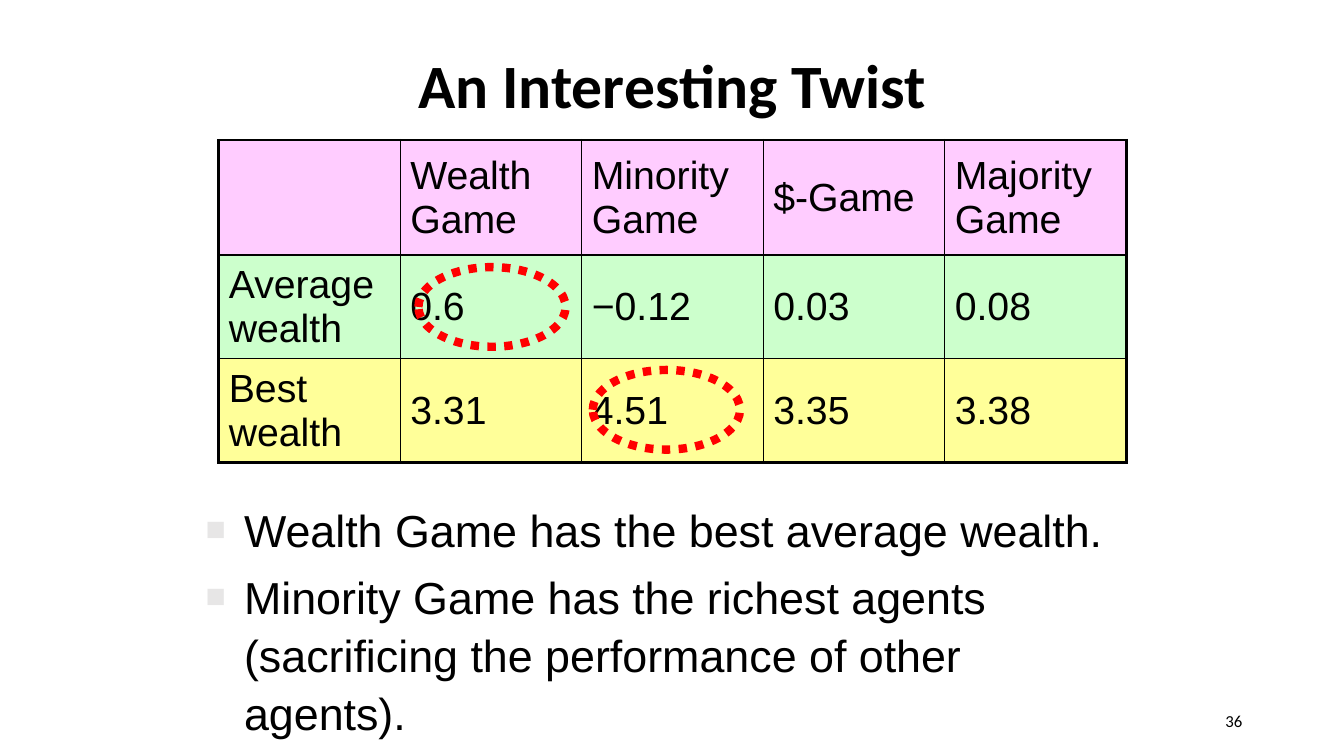
from dataclasses import dataclass

from lxml import etree
from pptx import Presentation
from pptx.dml.color import RGBColor
from pptx.enum.dml import MSO_LINE
from pptx.enum.shapes import MSO_SHAPE
from pptx.enum.text import MSO_ANCHOR, MSO_AUTO_SIZE, PP_ALIGN
from pptx.oxml.ns import qn
from pptx.util import Inches, Pt

MIDDLE, TOP = MSO_ANCHOR.MIDDLE, MSO_ANCHOR.TOP
LEFT, CENTER, RIGHT = PP_ALIGN.LEFT, PP_ALIGN.CENTER, PP_ALIGN.RIGHT
ELLIPSE = MSO_SHAPE.OVAL
DOTTED = MSO_LINE.ROUND_DOT
NO_FIT = MSO_AUTO_SIZE.NONE
BLACK = "000000"
THIN, THICK = 1, 2.25


@dataclass
class Row:
    height: float
    fill: str
    texts: list[str]


@dataclass
class Highlight:
    left: float
    top: float


ROWS = [
    Row(1.14, "FFCCFF", ["", "Wealth Game", "Minority Game", "$-Game", "Majority Game"]),
    Row(1.03, "CCFFCC", ["Average wealth", "0.6", "−0.12", "0.03", "0.08"]),
    Row(1.03, "FFFF99", ["Best wealth", "3.31", "4.51", "3.35", "3.38"]),
]
COLUMN_WIDTH = 1.8
HIGHLIGHTS = [Highlight(4.15, 2.65), Highlight(5.88, 3.67)]
FINDINGS = [
    "Wealth Game has the best average wealth.",
    "Minority Game has the richest agents "
    "(sacrificing the performance of other agents).",
]


def color(value: str) -> RGBColor:
    return RGBColor.from_string(value)


def add_xml(parent, tag: str, **attributes: str):
    return etree.SubElement(parent, qn(tag), attributes)


def place(shape, left: float, top: float, width: float, height: float) -> None:
    shape.left, shape.top = Inches(left), Inches(top)
    shape.width, shape.height = Inches(width), Inches(height)


def write(frame, *texts: str, size: float, font: str = "Arial", bold: bool = False,
          align=LEFT, anchor=MIDDLE, line_spacing: float | None = None,
          percent_before: int = 0) -> None:
    """Fill a text frame with one formatted paragraph per text."""
    frame.word_wrap = True
    frame.vertical_anchor = anchor
    for index, text in enumerate(texts):
        para = frame.add_paragraph() if index else frame.paragraphs[0]
        para.alignment = align
        if line_spacing:
            para.line_spacing = line_spacing
        if percent_before:
            before = add_xml(para._p.get_or_add_pPr(), "a:spcBef")
            add_xml(before, "a:spcPct", val=str(percent_before * 1000))
        span = para.add_run()
        span.text = text
        span.font.name, span.font.size, span.font.bold = font, Pt(size), bold
        span.font.color.rgb = color(BLACK)


def add_bullet(para) -> None:
    properties = para._p.get_or_add_pPr()
    indent = Inches(0.38)
    properties.set("marL", str(indent))
    properties.set("indent", str(-indent))
    add_xml(add_xml(properties, "a:buClr"), "a:srgbClr", val="E7E6E6")
    add_xml(properties, "a:buSzPct", val="75000")
    add_xml(properties, "a:buFont", typeface="Arial")
    add_xml(properties, "a:buChar", char="■")


def add_borders(cell, row: int, column: int, last_row: int, last_column: int) -> None:
    """Draw thin inner borders and thick ones on the table's outline."""
    properties = cell._tc.get_or_add_tcPr()
    outer_sides = {"L": column == 0, "R": column == last_column,
                   "T": row == 0, "B": row == last_row}
    for side, outer in outer_sides.items():
        width = Pt(THICK if outer else THIN)
        line = add_xml(properties, f"a:ln{side}", w=str(width))
        add_xml(add_xml(line, "a:solidFill"), "a:srgbClr", val=BLACK)


def add_wealth_table(page) -> None:
    columns = len(ROWS[0].texts)
    frame = page.shapes.add_table(
        len(ROWS), columns, Inches(2.17), Inches(1.39),
        Inches(COLUMN_WIDTH * columns), Inches(sum(row.height for row in ROWS)))
    table = frame.table
    table.first_row = table.horz_banding = False
    for column in table.columns:
        column.width = Inches(COLUMN_WIDTH)
    for r, row in enumerate(ROWS):
        table.rows[r].height = Inches(row.height)
        for c, text in enumerate(row.texts):
            cell = table.cell(r, c)
            add_borders(cell, r, c, len(ROWS) - 1, columns - 1)
            cell.fill.solid()
            cell.fill.fore_color.rgb = color(row.fill)
            cell.vertical_anchor = MIDDLE
            if text:
                write(cell.text_frame, text, size=28, percent_before=20)


def add_highlight(page, spot: Highlight) -> None:
    ring = page.shapes.add_shape(ELLIPSE, Inches(spot.left), Inches(spot.top),
                                 Inches(1.46), Inches(0.79))
    ring.shadow.inherit = False
    ring.fill.background()
    ring.line.color.rgb = color("FF0000")
    ring.line.width = Pt(6)
    ring.line.dash_style = DOTTED


def main() -> None:
    deck = Presentation()
    deck.slide_width, deck.slide_height = Inches(13.33), Inches(7.5)
    page = deck.slides.add_slide(deck.slide_layouts[1])

    title, body = page.placeholders
    place(title, 2.17, 0.13, 9, 1.5)
    title.text_frame.auto_size = NO_FIT
    write(title.text_frame, "An Interesting Twist", size=44, font="Calibri",
          bold=True, align=CENTER, line_spacing=0.9)

    add_wealth_table(page)
    for spot in HIGHLIGHTS:
        add_highlight(page, spot)

    place(body, 1.94, 4.89, 9.33, 1.89)
    body.text_frame.auto_size = NO_FIT
    write(body.text_frame, *FINDINGS, size=32, anchor=TOP, line_spacing=1.08,
          percent_before=20)
    for para in body.text_frame.paragraphs:
        add_bullet(para)

    number = page.shapes.add_textbox(Inches(9.42), Inches(6.95), Inches(3), Inches(0.4))
    write(number.text_frame, "36", size=12, font="Calibri", align=RIGHT)

    deck.save("out.pptx")


if __name__ == "__main__":
    main()
